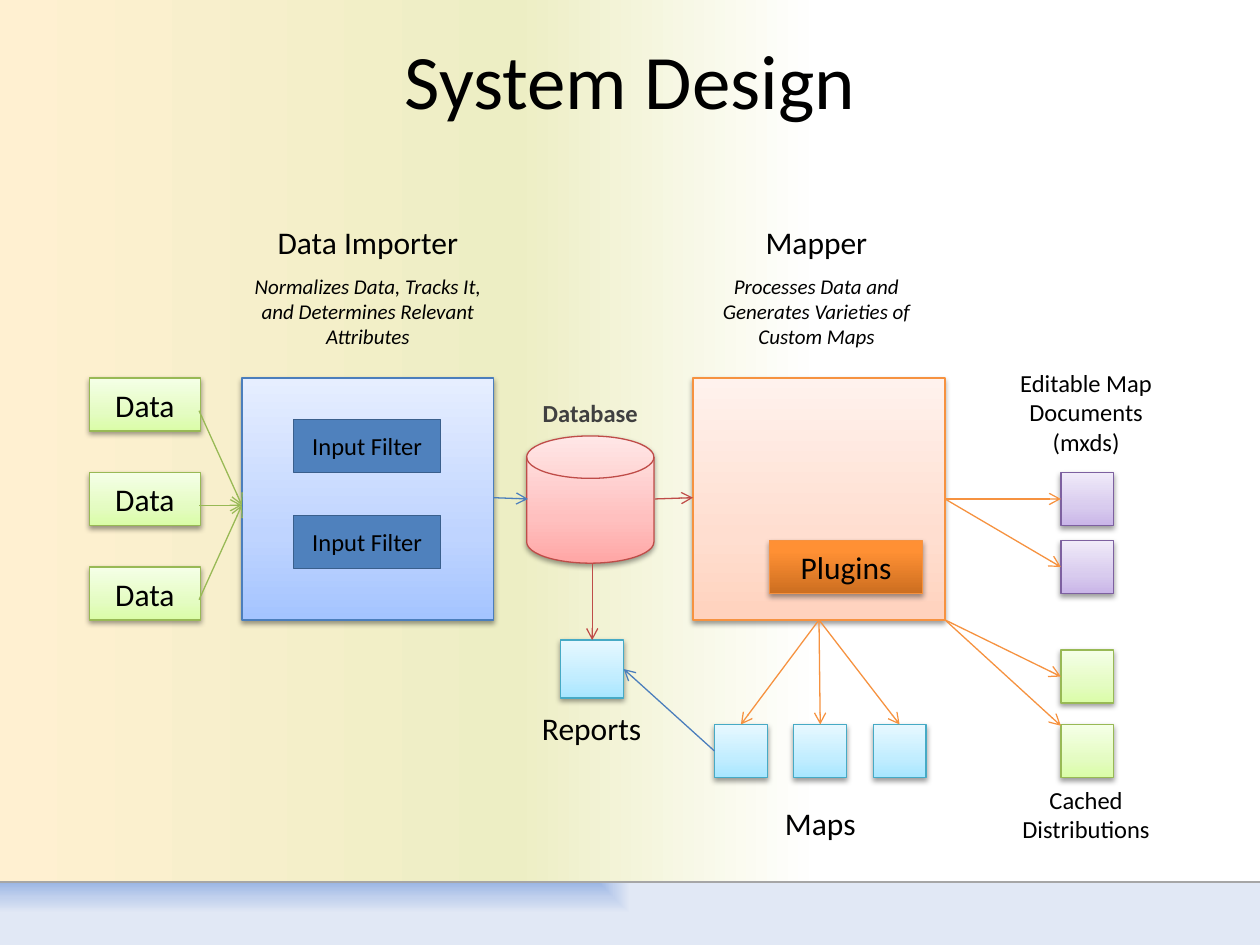
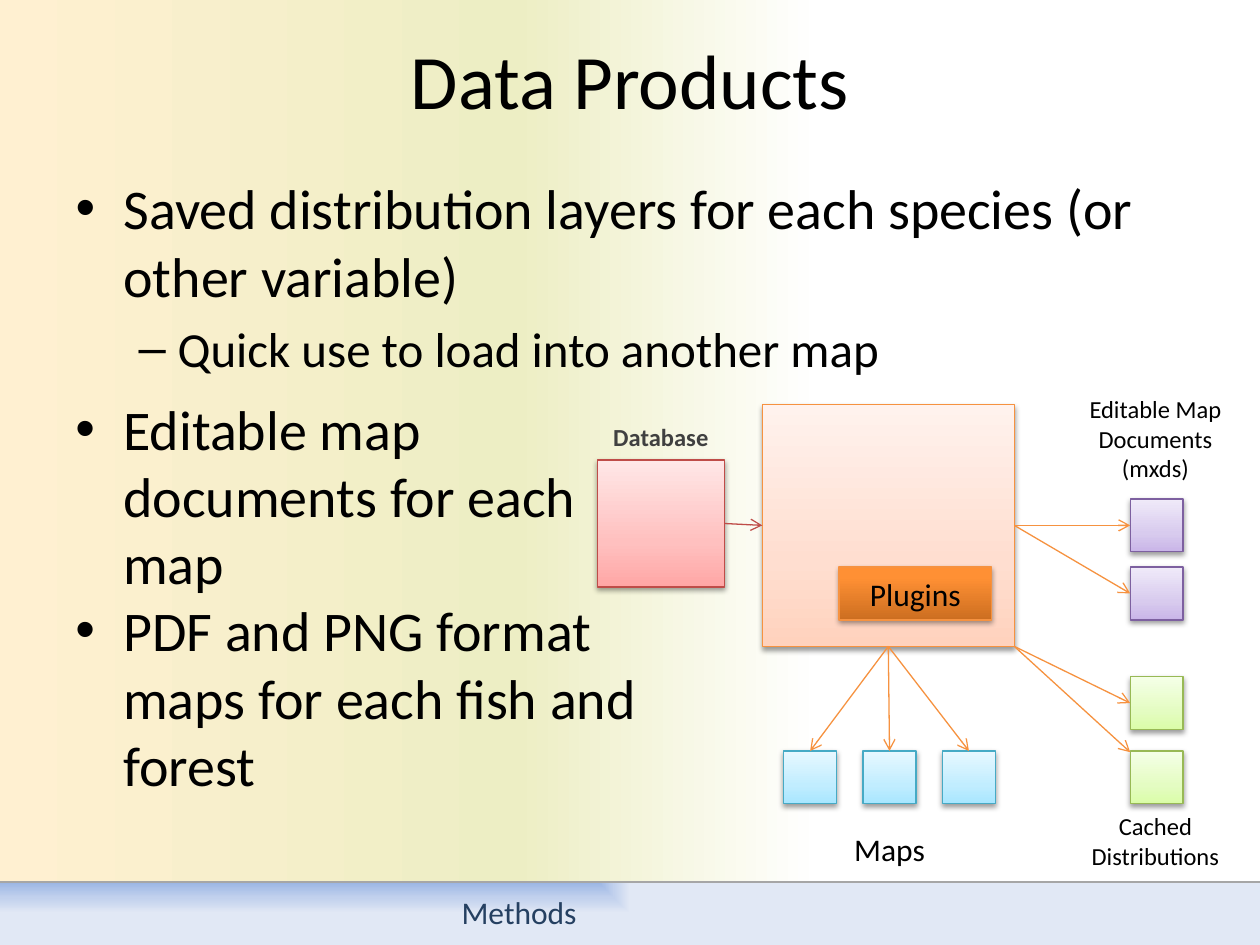
from lxml import etree
from pptx import Presentation
from pptx.dml.color import RGBColor
from pptx.enum.shapes import MSO_CONNECTOR, MSO_SHAPE
from pptx.enum.text import MSO_ANCHOR, PP_ALIGN
from pptx.oxml.ns import qn
from pptx.util import Inches, Pt

RECTANGLE = MSO_SHAPE.RECTANGLE
DISK = MSO_SHAPE.FLOWCHART_MAGNETIC_DISK
STRAIGHT = MSO_CONNECTOR.STRAIGHT
LEFT, CENTER = PP_ALIGN.LEFT, PP_ALIGN.CENTER
TOP, MIDDLE = MSO_ANCHOR.TOP, MSO_ANCHOR.MIDDLE
TOP_SITE, LEFT_SITE, BOTTOM_SITE, RIGHT_SITE = range(4)

FONT = "Calibri"
BLACK = RGBColor(0x00, 0x00, 0x00)
DARK_GRAY = RGBColor(0x40, 0x40, 0x40)
RULE_GRAY = RGBColor(0xA6, 0xA6, 0xA6)
NAVY = RGBColor(0x25, 0x40, 0x61)
FILTER_FILL = RGBColor(0x4F, 0x81, 0xBD)
FILTER_EDGE = RGBColor(0x3A, 0x5F, 0x8C)
BLUE = RGBColor(0x4B, 0x7E, 0xBC)
ORANGE = RGBColor(0xF6, 0x92, 0x40)
GREEN = RGBColor(0x98, 0xB9, 0x55)
PURPLE = RGBColor(0x7D, 0x60, 0xA0)
CYAN = RGBColor(0x46, 0xAA, 0xC5)
RED = RGBColor(0xBF, 0x4C, 0x48)


def stops(positions, *codes):
    return [(spot, RGBColor.from_string(code)) for spot, code in zip(positions, codes)]


SOFT = (0, 35, 100)
BACKGROUND = stops((0, 41, 65, 100), "FFF0D1", "EDEEC4", "FFFFFF", "FFFFFF")
BAND = stops((0, 50, 100), "9AB5E4", "C2D1ED", "E1E8F5")
BLUE_FILL = stops(SOFT, "A4C4FF", "BFD4FF", "E6EEFF")
ORANGE_FILL = stops(SOFT, "FFD2BD", "FFDED0", "FFF2ED")
GREEN_FILL = stops(SOFT, "DAFDA7", "E4FCC2", "F5FFE7")
PURPLE_FILL = stops(SOFT, "C9B5E8", "D8CBEE", "F0EAF9")
CYAN_FILL = stops(SOFT, "A7E6FF", "C1EDFF", "E7F8FF")
RED_FILL = stops(SOFT, "FFA6A5", "FFC0BF", "FFE7E7")
PLUGIN_FILL = stops((0, 80, 100), "CC6E20", "FF9034", "FF9136")

ICON = 0.42  # side of the small output squares


def child(parent, tag, **attributes):
    element = etree.SubElement(parent, qn(tag))
    for name, value in attributes.items():
        element.set(name, str(value))
    return element


def fill_gradient(owner, fill, colour_stops, angle=None):
    """Fill linearly at the angle, or outward from the top left corner if it is None."""
    fill.gradient()
    gradient = owner.element.find(".//" + qn("a:gradFill"))
    for part in list(gradient):
        gradient.remove(part)
    stop_list = child(gradient, "a:gsLst")
    for spot, colour in colour_stops:
        stop = child(stop_list, "a:gs", pos=spot * 1000)
        child(stop, "a:srgbClr", val=colour)
    if angle is None:
        spread = child(gradient, "a:path", path="rect")
        child(spread, "a:fillToRect", r=100000, b=100000)
        child(gradient, "a:tileRect", l=-100000, t=-100000)
    else:
        child(gradient, "a:lin", ang=angle * 60000, scaled=0)


def write(frame, text, *, size=18, colour=BLACK, bold=False, italic=False,
          align=CENTER, anchor=TOP, bullet=None, indent=(0, 0), level=0, before=0):
    """Add one paragraph, using the empty first one when there is one."""
    frame.word_wrap = True
    frame.vertical_anchor = anchor
    para = frame.paragraphs[0] if not frame.text else frame.add_paragraph()
    para.level = level
    para.alignment = align
    para.space_before = Pt(before)
    if bullet:
        properties = para._p.get_or_add_pPr()
        properties.set("marL", str(Inches(indent[0])))
        properties.set("indent", str(Inches(indent[1])))
        child(properties, "a:buFont", typeface="Arial")
        child(properties, "a:buChar", char=bullet)
    span = para.add_run()
    span.text = text
    font = span.font
    font.name, font.size, font.bold, font.italic = FONT, Pt(size), bold, italic
    font.color.rgb = colour


def write_bullet(frame, text, **options):
    write(frame, text, size=32, align=LEFT, bullet="•", indent=(0.38, -0.38), **options)


def add_label(page, x, y, width, height, text, **options):
    box = page.shapes.add_textbox(*map(Inches, (x, y, width, height)))
    write(box.text_frame, text, **options)


def add_block(page, x, y, width, height, fill, edge, text=None, *, shape=RECTANGLE,
              size=18, weight=0.75):
    """Add a shape; a list of stops as fill gives a gradient and a shadow."""
    block = page.shapes.add_shape(shape, *map(Inches, (x, y, width, height)))
    block.shadow.inherit = False
    block.line.color.rgb = edge
    block.line.width = Pt(weight)
    if isinstance(fill, list):
        fill_gradient(block, block.fill, fill, 270)
        effects = block.element.spPr.find(qn("a:effectLst"))
        shadow = child(effects, "a:outerShdw", blurRad=Pt(3.1), dist=Pt(1.6),
                       dir=5400000, rotWithShape=0)
        child(child(shadow, "a:srgbClr", val="000000"), "a:alpha", val=38000)
    else:
        block.fill.solid()
        block.fill.fore_color.rgb = fill
    if text:
        write(block.text_frame, text, size=size, anchor=MIDDLE)
    return block


def add_icon(page, x, y, fill, edge):
    return add_block(page, x, y, ICON, ICON, fill, edge)


def add_line(page, start, end, colour):
    line = page.shapes.add_connector(STRAIGHT, *map(Inches, (*start, *end)))
    line.line.color.rgb = colour
    line.line.width = Pt(0.75)
    child(line.element.spPr, "a:effectLst")
    return line


def add_arrow(page, start, end, colour):
    arrow = add_line(page, start, end, colour)
    child(arrow.element.spPr.find(qn("a:ln")), "a:tailEnd", type="arrow")
    return arrow


def join(page, source, source_site, target, target_site, colour):
    """Draw an arrow that stays attached to both shapes."""
    arrow = add_arrow(page, (0, 0), (1, 1), colour)
    arrow.begin_connect(source, source_site)
    arrow.end_connect(target, target_site)


def add_page(deck, layout_index, title):
    page = deck.slides.add_slide(deck.slide_layouts[layout_index])
    holder = page.shapes.title
    holder.left, holder.top, holder.width, holder.height = map(Inches, (0.5, 0, 9, 1.25))
    write(holder.text_frame, title, size=44, anchor=MIDDLE)
    return page


def dress_master(deck, page):
    """Give the master its background, and move a band and rule drawn on the page to it."""
    master = deck.slide_master
    fill_gradient(master, master.background.fill, BACKGROUND, 0)
    band = page.shapes.add_shape(RECTANGLE, *map(Inches, (0, 7, 10, 0.5)))
    band.shadow.inherit = False
    band.line.fill.background()
    fill_gradient(band, band.fill, BAND)
    rule = add_line(page, (0, 7), (10, 7), RULE_GRAY)
    for offset, part in enumerate((band, rule)):
        part.element.find(".//" + qn("p:cNvPr")).set("id", str(100 + offset))
        master.shapes.element.insert(2 + offset, part.element)


def add_mapper(page, x, y):
    """Draw the mapper with its outputs, its top left corner at x, y."""
    right, bottom = x + 2, y + 1.92
    mapper = add_block(page, x, y, 2, 1.92, ORANGE_FILL, ORANGE)
    add_block(page, x + 0.61, y + 1.29, 1.21, ICON, PLUGIN_FILL, ORANGE, "Plugins")

    maps = [add_icon(page, x + 0.17 + 0.63 * column, y + 2.75, CYAN_FILL, CYAN)
            for column in range(3)]
    for target in maps:
        join(page, mapper, BOTTOM_SITE, target, TOP_SITE, ORANGE)
    add_label(page, x + 0.17, y + 3.33, 1.68, 0.4, "Maps")

    outputs_x = x + 2.92
    add_label(page, x + 2.33, y - 0.13, 1.58, 0.81, "Editable Map Documents (mxds)", size=14)
    for drop in (0.75, 1.29):
        document = add_icon(page, outputs_x, y + drop, PURPLE_FILL, PURPLE)
        join(page, mapper, RIGHT_SITE, document, LEFT_SITE, ORANGE)
    for drop, arrow_drop in ((2.16, 2.37), (2.75, 2.76)):
        add_icon(page, outputs_x, y + drop, GREEN_FILL, GREEN)
        add_arrow(page, (right, bottom), (outputs_x, y + arrow_drop), ORANGE)
    add_label(page, x + 2.3, y + 3.18, 1.64, 0.57, "Cached Distributions", size=14)
    return mapper, maps


def add_database(page, x, y, shape):
    add_label(page, x, y - 0.35, 1.01, 0.34, "Database", size=14, colour=DARK_GRAY, bold=True)
    return add_block(page, x, y, 1.01, 1.01, RED_FILL, RED, shape=shape)


def add_stage_heading(page, x, name, purpose):
    add_label(page, x, 1.72, 2, 0.4, name)
    add_label(page, x, 2.12, 2, 0.71, purpose, size=12, italic=True)


def fill_system_design(page):
    add_stage_heading(page, 1.92, "Data Importer",
                      "Normalizes Data, Tracks It, and Determines Relevant Attributes")
    add_stage_heading(page, 5.48, "Mapper",
                      "Processes Data and Generates Varieties of Custom Maps")
    add_block(page, 1.92, 3, 2, 1.92, BLUE_FILL, BLUE)
    for y in (3.33, 4.09):
        add_block(page, 2.33, y, 1.17, ICON, FILTER_FILL, FILTER_EDGE, "Input Filter",
                  size=14, weight=0.5)
    for row in range(3):
        y = 3 + 0.75 * row
        add_block(page, 0.71, y, 0.88, ICON, GREEN_FILL, GREEN, "Data")
        add_arrow(page, (1.58, y + 0.26), (1.92, 4.01), GREEN)

    maps = add_mapper(page, 5.5, 3)[1]
    reports = add_block(page, 4.45, 5.08, 0.5, 0.46, CYAN_FILL, CYAN)
    add_label(page, 4.19, 5.58, 1.01, 0.4, "Reports")
    join(page, maps[0], LEFT_SITE, reports, RIGHT_SITE, BLUE)

    add_database(page, 4.18, 3.46, DISK)
    add_arrow(page, (3.92, 3.95), (4.19, 3.96), BLUE)
    add_arrow(page, (5.2, 3.96), (5.5, 3.95), RED)
    add_arrow(page, (4.7, 4.47), (4.7, 5.08), RED)


def fill_data_products(page):
    body = page.placeholders[1]
    body.left, body.top, body.width, body.height = map(Inches, (0.5, 1.33, 9, 1.92))
    write_bullet(body.text_frame, "Saved distribution layers for each species (or other variable)")
    write(body.text_frame, "Quick use to load into another map", size=28, align=LEFT,
          bullet="–", indent=(0.81, -0.31), level=1, before=5.6)

    formats = page.shapes.add_textbox(*map(Inches, (0.5, 3.08, 4.75, 3.33)))
    write_bullet(formats.text_frame, "Editable map documents for each map")
    write_bullet(formats.text_frame, "PDF and PNG format maps for each fish and forest")

    mapper = add_mapper(page, 6.05, 3.21)[0]
    database = add_database(page, 4.74, 3.65, RECTANGLE)
    join(page, database, RIGHT_SITE, mapper, LEFT_SITE, RED)
    add_label(page, 2.6, 7.04, 3.04, 0.42, "Methods", colour=NAVY)


def main():
    deck = Presentation()
    deck.slide_width, deck.slide_height = Inches(10), Inches(7.5)
    design = add_page(deck, 5, "System Design")
    dress_master(deck, design)
    fill_system_design(design)
    fill_data_products(add_page(deck, 1, "Data Products"))
    deck.save("out.pptx")


if __name__ == "__main__":
    main()
